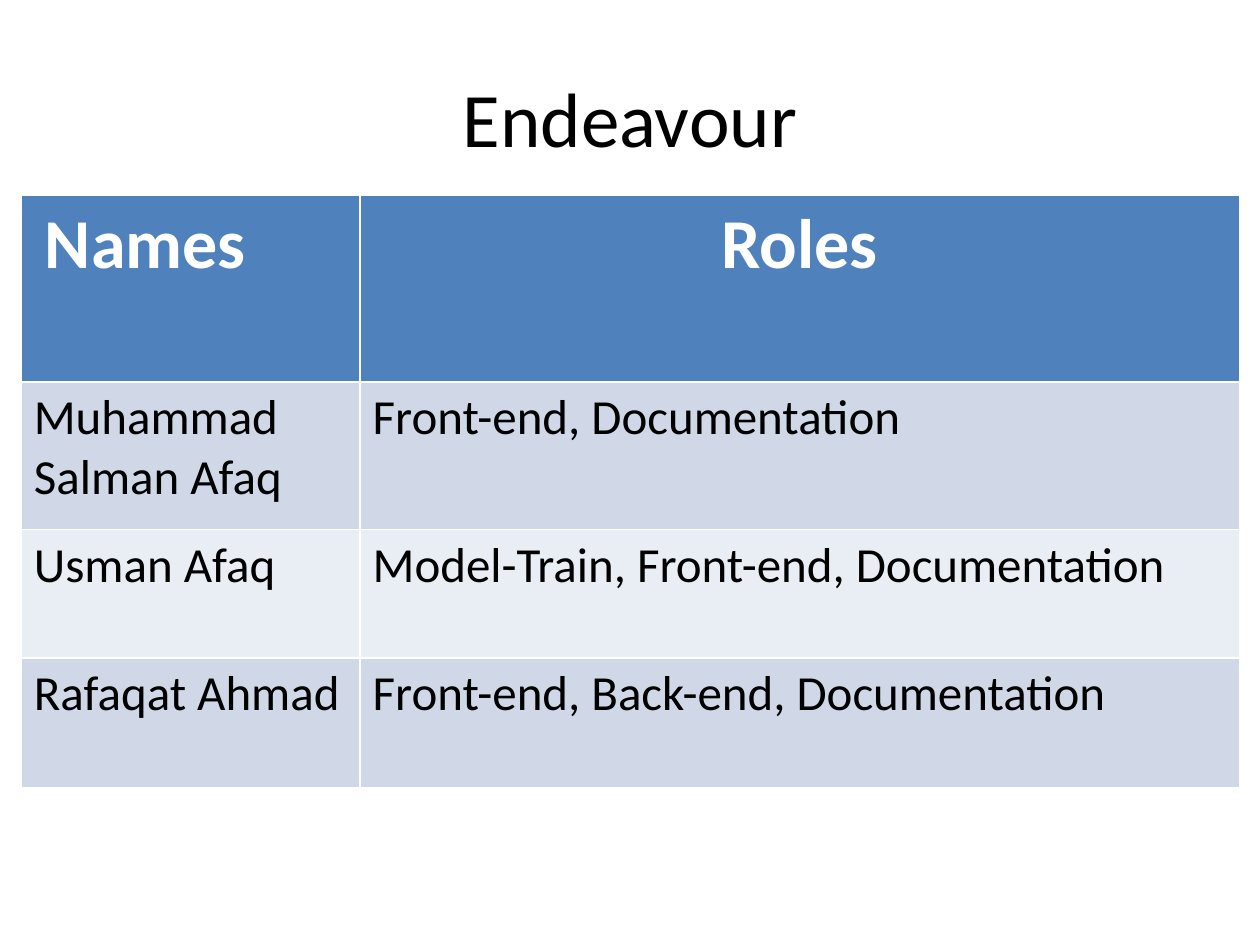
from pptx import Presentation
from pptx import util as u
from pptx.dml import color
from pptx.enum import text

HUES = {"ink": "000000", "white": "FFFFFF", "head": "4F81BD",
        "odd": "D0D8E8", "even": "E9EDF4"}
ROWS = [
    ("Muhammad Salman Afaq", "Front-end, Documentation"),
    ("Usman Afaq", "Model-Train, Front-end, Documentation"),
    ("Rafaqat Ahmad", "Front-end, Back-end, Documentation"),
]
WIDTHS = [6.83, 17.73]
HEIGHTS = [3.76, 2.97, 2.59, 2.62]


class Deck:
    face = "Calibri"

    def __init__(self, wide, high):
        self.show = Presentation()
        self.show.slide_width = u.Cm(wide)
        self.show.slide_height = u.Cm(high)
        self.slide = self.show.slides.add_slide(self.show.slide_layouts[5])

    def hue(self, name):
        return color.RGBColor.from_string(HUES[name])

    def style(self, para, size, hue, bold=False, align=text.PP_ALIGN.LEFT):
        para.alignment = align
        font = para.font
        font.name, font.size, font.bold = self.face, u.Pt(size), bold
        font.color.rgb = self.hue(hue)
        for run in para.runs:
            run.font.name, run.font.size, run.font.bold = self.face, u.Pt(size), bold
            run.font.color.rgb = self.hue(hue)

    def title(self, words, left, top, wide, high):
        box = self.slide.shapes.title
        box.left, box.top = u.Cm(left), u.Cm(top)
        box.width, box.height = u.Cm(wide), u.Cm(high)
        frame = box.text_frame
        frame.text = words
        frame.vertical_anchor = text.MSO_ANCHOR.MIDDLE
        self.style(frame.paragraphs[0], 44, "ink", align=text.PP_ALIGN.CENTER)

    def cell(self, cell, words, fill, *look, **more):
        cell.fill.solid()
        cell.fill.fore_color.rgb = self.hue(fill)
        para = cell.text_frame.paragraphs[0]
        for part in words:
            para.add_run().text = part
        self.style(para, *look, **more)
        return para

    def table(self, left, top):
        grid = self.slide.shapes.add_table(
            len(HEIGHTS), len(WIDTHS), u.Cm(left), u.Cm(top),
            u.Cm(sum(WIDTHS)), u.Cm(sum(HEIGHTS))).table
        for col, wide in zip(grid.columns, WIDTHS):
            col.width = u.Cm(wide)
        for row, high in zip(grid.rows, HEIGHTS):
            row.height = u.Cm(high)
        names = self.cell(grid.cell(0, 0), [" ", "Names"], "head", 40, "white", True)
        names.runs[0].font.size = u.Pt(28)
        self.cell(grid.cell(0, 1), ["Roles"], "head", 40, "white", True,
                  align=text.PP_ALIGN.CENTER)
        for r, row in enumerate(ROWS, 1):
            for c, words in enumerate(row):
                self.cell(grid.cell(r, c), [words], "odd" if r % 2 else "even",
                          28, "ink")

    def save(self):
        self.show.save("out.pptx")


def main():
    deck = Deck(25.4, 19.05)
    deck.title("Endeavour", 1.27, 0.76, 22.86, 3.18)
    deck.table(0.43, 3.94)
    deck.save()


if __name__ == "__main__":
    main()
